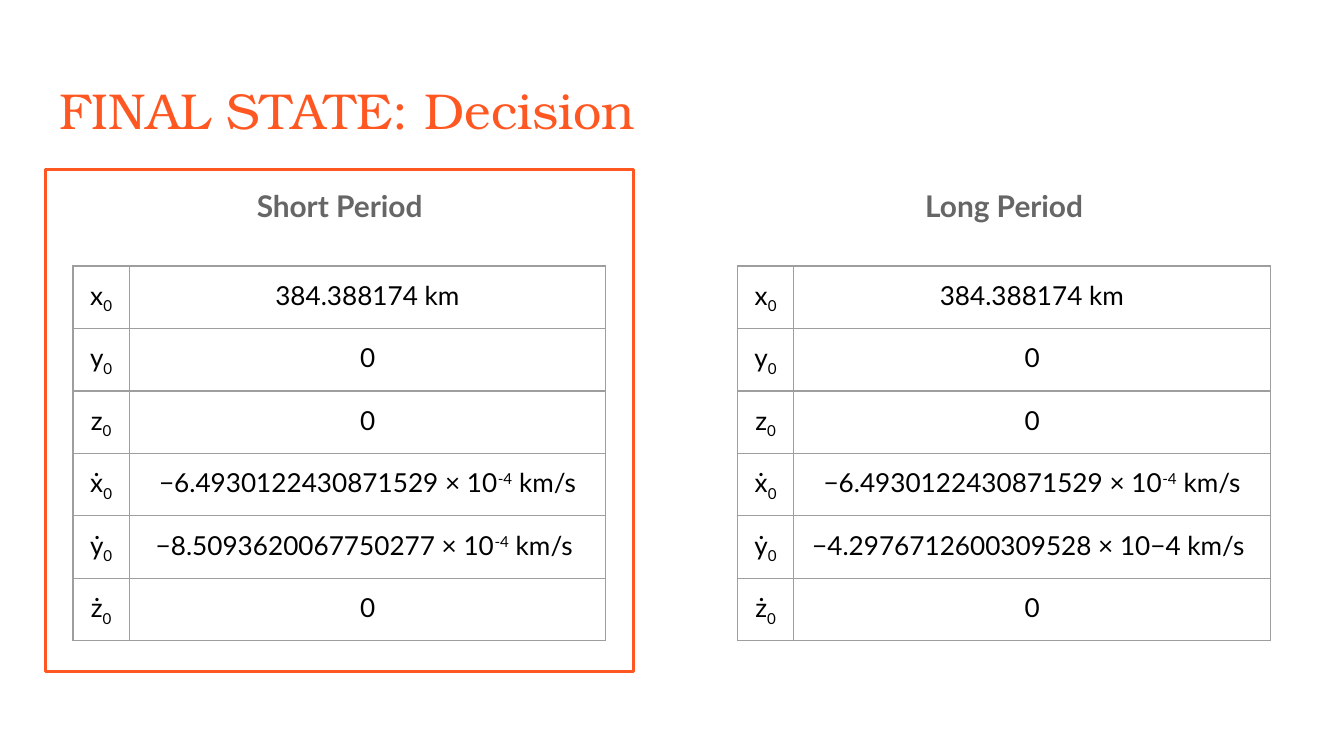
"""Build the slide that compares the short and long period final states."""
from lxml import etree
from pptx import Presentation
from pptx import util as u
from pptx.dml.color import RGBColor
from pptx.enum import shapes, text
from pptx.oxml.ns import qn

THEME = {
    "accent": "FF5722", "heading": "666666", "ink": "000000", "rule": "9E9E9E",
    "body_font": "Lato", "title_font": "TeX Gyre Bonum",
    "title_size": 27, "heading_size": 16, "cell_size": 14,
    "frame_width": 1.5, "rule_width": 0.75,
}
FRAME_FORMAT = {
    "word_wrap": True, "auto_size": text.MSO_AUTO_SIZE.NONE,
    "vertical_anchor": text.MSO_ANCHOR.TOP,
    "margin_left": u.Inches(0.1), "margin_right": u.Inches(0.1),
    "margin_top": u.Inches(0.1), "margin_bottom": u.Inches(0.1),
}
CELL_FORMAT = {key: value for key, value in FRAME_FORMAT.items()
               if key not in ("word_wrap", "auto_size")}
HEADING_FORMAT = {"line_spacing": 1.15, "space_after": u.Pt(12),
                  "alignment": text.PP_ALIGN.CENTER}

STATES = ["x", "y", "z", "ẋ", "ẏ", "ż"]
SUBSCRIPT, SUPERSCRIPT = -25000, 30000
POSITION = [("384.388174 km", 0)]
ZERO = [("0", 0)]
X_RATE = [("−6.4930122430871529 × 10", 0), ("-4", SUPERSCRIPT), (" km/s", 0)]
SHORT_Y_RATE = [("−8.5093620067750277 × 10", 0), ("-4", SUPERSCRIPT), (" km/s ", 0)]
LONG_Y_RATE = [("−4.2976712600309528 × 10−4 km/s ", 0)]
PERIODS = [
    ("Short Period", 3.41, True, SHORT_Y_RATE),
    ("Long Period", 52.85, False, LONG_Y_RATE),
]


def apply(target, values):
    for name, value in values.items():
        setattr(target, name, value)


def write(para, content, role, color, font="body_font", bold=False, baseline=0):
    span = para.add_run()
    span.text = content
    apply(span.font, {"name": THEME[font], "size": u.Pt(THEME[role]), "bold": bold})
    span.font.color.rgb = RGBColor.from_string(THEME[color])
    if baseline:
        span._r.get_or_add_rPr().set("baseline", str(baseline))


deck = Presentation()
deck.slide_width = u.Inches(10)
deck.slide_height = deck.slide_width * 9 // 16
column, row = deck.slide_width / 100, deck.slide_height / 100
page = deck.slides.add_slide(deck.slide_layouts[5])

title = page.shapes.title
apply(title, {"left": int(3.41 * column), "top": int(8.7 * row),
              "width": int(93.2 * column), "height": int(11.2 * row)})
apply(title.text_frame, FRAME_FORMAT)
title_para = title.text_frame.paragraphs[0]
title_para.alignment = text.PP_ALIGN.LEFT
write(title_para, "FINAL STATE: Decision", "title_size", "accent", "title_font")

for heading, left, chosen, y_rate in PERIODS:
    box = page.shapes.add_shape(
        shapes.MSO_SHAPE.RECTANGLE, int(left * column), int(22.4 * row),
        int(43.74 * column), int(66.4 * row))
    box.shadow.inherit = False
    box.fill.background()
    if chosen:
        box.line.color.rgb = RGBColor.from_string(THEME["accent"])
        box.line.width = u.Pt(THEME["frame_width"])
    else:
        box.line.fill.background()
    apply(box.text_frame, FRAME_FORMAT)
    para = box.text_frame.paragraphs[0]
    apply(para, HEADING_FORMAT)
    write(para, heading, "heading_size", "heading", bold=True)

    values = [POSITION, ZERO, ZERO, X_RATE, y_rate, ZERO]
    table = page.shapes.add_table(
        len(STATES), 2, int((left + 2.02) * column), int(35.2 * row),
        int(39.7 * column), int(len(STATES) * 7.6 * row)).table
    apply(table, {"first_row": False, "horz_banding": False})
    for table_column, share in zip(table.columns, (4.2, 35.45)):
        table_column.width = int(share * column)
    for index, (state, value) in enumerate(zip(STATES, values)):
        for position, spans in enumerate(([(state, 0), ("0", SUBSCRIPT)], value)):
            cell = table.cell(index, position)
            apply(cell, CELL_FORMAT)
            properties = cell._tc.get_or_add_tcPr()
            for side in ("a:lnL", "a:lnR", "a:lnT", "a:lnB"):
                border = etree.SubElement(properties, qn(side),
                                          w=str(u.Pt(THEME["rule_width"])))
                fill = etree.SubElement(border, qn("a:solidFill"))
                etree.SubElement(fill, qn("a:srgbClr"), val=THEME["rule"])
            cell.fill.background()
            para = cell.text_frame.paragraphs[0]
            para.alignment = text.PP_ALIGN.CENTER
            for content, baseline in spans:
                write(para, content, "cell_size", "ink", baseline=baseline)

deck.save("out.pptx")
